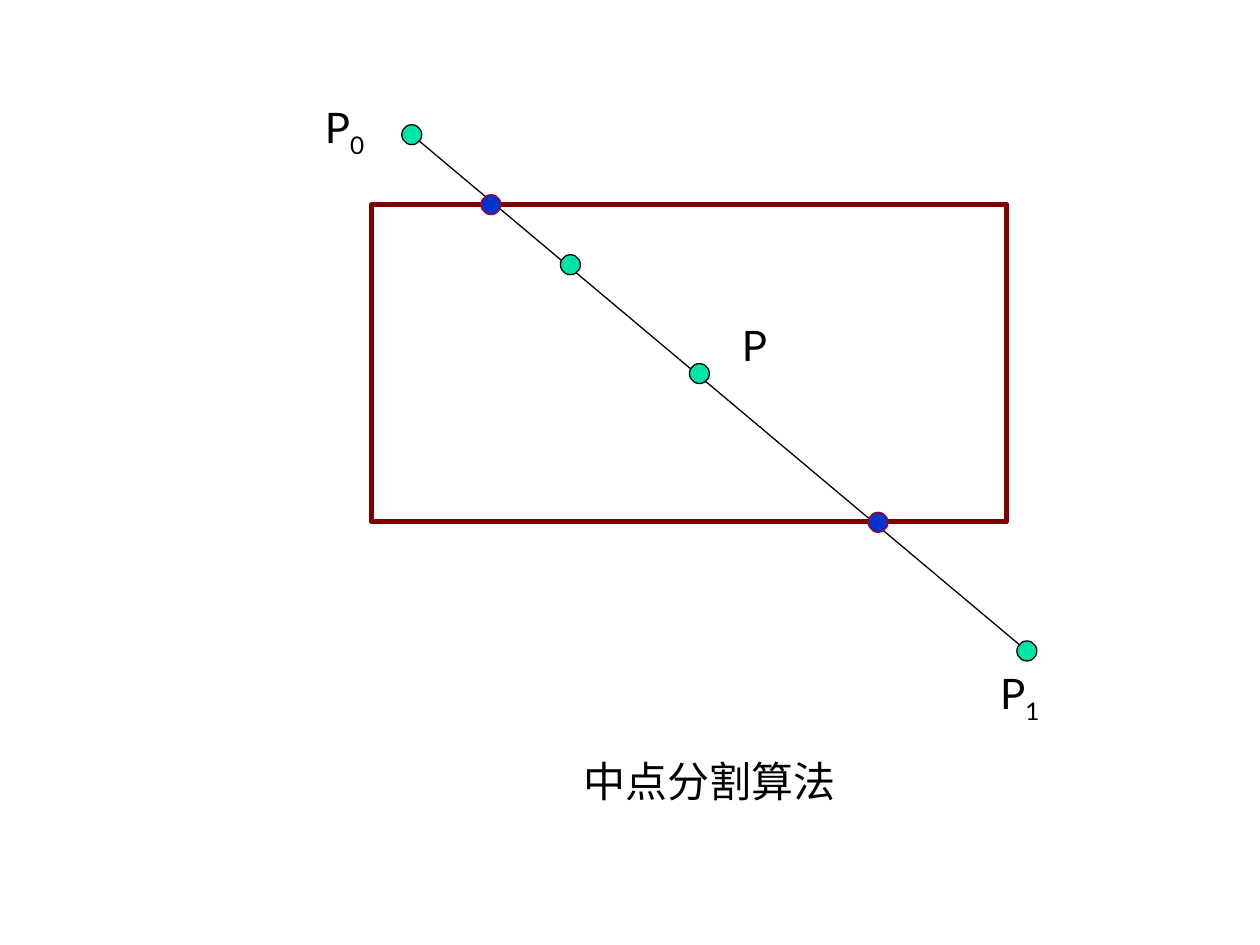
from pptx import Presentation
from pptx.dml.color import RGBColor
from pptx.enum.shapes import MSO_CONNECTOR, MSO_SHAPE
from pptx.enum.text import MSO_AUTO_SIZE
from pptx.util import Pt
from lxml.etree import SubElement
from pptx.oxml.ns import qn

BLACK = RGBColor(0x00, 0x00, 0x00)
MAROON = RGBColor(0x80, 0x00, 0x00)
GREEN = RGBColor(0x00, 0xE4, 0xA8)
BLUE = RGBColor(0x00, 0x33, 0xCC)
RED = RGBColor(0xA5, 0x00, 0x21)


class Sketch:
    font = "Lato"
    size = 24
    thin = 0.75
    dot_size = 11.4

    def __init__(self, slide):
        self.shapes = slide.shapes

    def frame(self, left, top, width, height):
        box = self.shapes.add_shape(
            MSO_SHAPE.RECTANGLE, Pt(left), Pt(top), Pt(width), Pt(height))
        box.shadow.inherit = False
        box.fill.background()
        box.line.color.rgb = MAROON
        box.line.width = Pt(3)

    def line(self, start, end):
        line = self.shapes.add_connector(
            MSO_CONNECTOR.STRAIGHT, *map(Pt, start + end))
        line.line.color.rgb = BLACK
        line.line.width = Pt(self.thin)
        SubElement(line._element.spPr, qn("a:effectLst"))

    def dot(self, center, fill, edge):
        x, y = center
        half = self.dot_size / 2
        dot = self.shapes.add_shape(
            MSO_SHAPE.OVAL, Pt(x - half), Pt(y - half),
            Pt(self.dot_size), Pt(self.dot_size))
        dot.shadow.inherit = False
        dot.fill.solid()
        dot.fill.fore_color.rgb = fill
        dot.line.color.rgb = edge
        dot.line.width = Pt(self.thin)

    def label(self, left, top, width, text, sub=""):
        box = self.shapes.add_textbox(Pt(left), Pt(top), Pt(width), Pt(36))
        frame = box.text_frame
        frame.word_wrap = True
        frame.auto_size = MSO_AUTO_SIZE.SHAPE_TO_FIT_TEXT
        para = frame.paragraphs[0]
        para.font.name = self.font
        para.font.size = Pt(self.size)
        para.font.color.rgb = BLACK
        para.add_run().text = text
        if sub:
            run = para.add_run()
            run.text = sub
            run.font._element.set("baseline", "-25000")


def main():
    deck = Presentation()
    deck.slide_width, deck.slide_height = Pt(720), Pt(540)
    sketch = Sketch(deck.slides.add_slide(deck.slide_layouts[6]))

    start, end = (235.3, 77), (586.8, 372)
    middle, quarter = (399.7, 213.5), (326, 151.3)
    entry, leave = (280.6, 117), (501.8, 298.5)

    sketch.frame(212.4, 116.8, 362.9, 181.4)
    sketch.line(start, end)
    for point in (start, end, middle, quarter):
        sketch.dot(point, GREEN, BLACK)
    for point in (entry, leave):
        sketch.dot(point, BLUE, RED)

    sketch.label(178.6, 54.7, 45.4, "P", "0")
    sketch.label(564.5, 378, 45.4, "P", "1")
    sketch.label(416.9, 179.3, 28.1, "P")
    sketch.label(326.2, 428.4, 169.9, "中点分割算法")
    deck.save("out.pptx")


if __name__ == "__main__":
    main()
